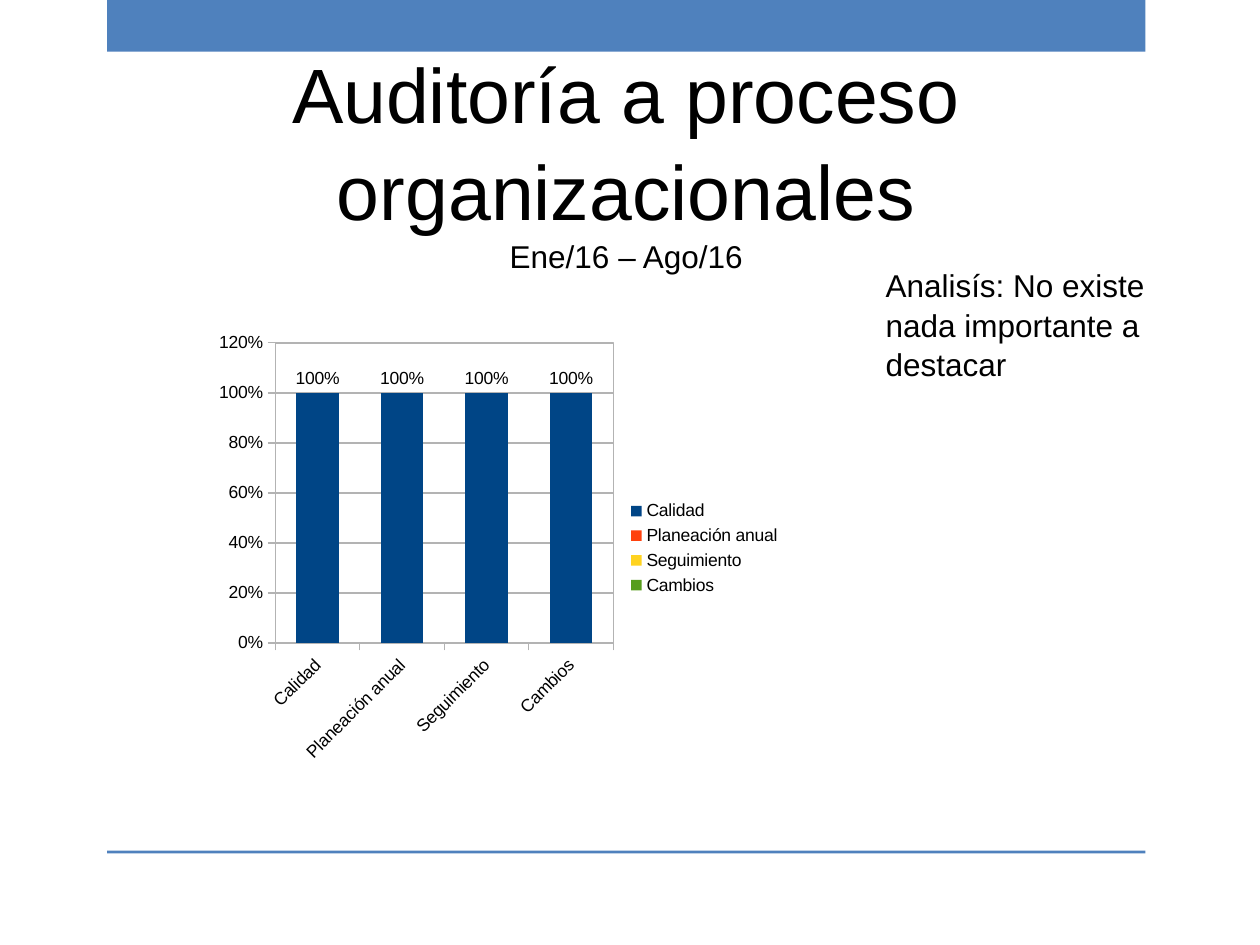
import pptx
import pptx.chart.data
import pptx.dml.color
import pptx.enum.chart
import pptx.enum.shapes
import pptx.enum.text
import pptx.oxml
import pptx.oxml.ns
import pptx.util

BLUE = pptx.dml.color.RGBColor(0x4F, 0x81, 0xBD)
BAR_BLUE = pptx.dml.color.RGBColor(0x00, 0x45, 0x86)
GRAY = pptx.dml.color.RGBColor(0xB3, 0xB3, 0xB3)
BLACK = pptx.dml.color.RGBColor(0, 0, 0)
WHITE = pptx.dml.color.RGBColor(255, 255, 255)


class AuditSlide:
    """Draws the audit slide; positions are shares of the slide's size."""

    font_name = "Arial"
    line_spacing = 1.05

    def __init__(self, presentation):
        self.width = presentation.slide_width
        self.height = presentation.slide_height
        self.slide = presentation.slides.add_slide(presentation.slide_layouts[6])

    def place(self, left, top, width, height):
        return (round(left * self.width), round(top * self.height),
                round(width * self.width), round(height * self.height))

    def band(self, *share):
        shape = self.slide.shapes.add_shape(
            pptx.enum.shapes.MSO_SHAPE.RECTANGLE, *self.place(*share))
        shape.shadow.inherit = False
        shape.fill.solid()
        shape.fill.fore_color.rgb = BLUE
        shape.line.fill.background()

    def text(self, share, lines, sizes, align, anchor, insets):
        text_frame = self.slide.shapes.add_textbox(*self.place(*share)).text_frame
        text_frame.word_wrap = True
        text_frame.vertical_anchor = anchor
        text_frame.margin_left = text_frame.margin_right = pptx.util.Inches(insets[0])
        text_frame.margin_top = text_frame.margin_bottom = pptx.util.Inches(insets[1])
        text_frame.text = "\n".join(lines)
        for paragraph, size in zip(text_frame.paragraphs, sizes):
            paragraph.alignment = align
            paragraph.line_spacing = self.line_spacing
            self.style_font(paragraph.runs[0].font, size)

    def style_font(self, font, size):
        font.name = self.font_name
        font.size = pptx.util.Pt(size)
        font.color.rgb = BLACK

    def style_line(self, line):
        line.color.rgb = GRAY
        line.width = pptx.util.Pt(0.75)

    def column_chart(self, share, categories, values, plot_share):
        data = pptx.chart.data.CategoryChartData(number_format="0%")
        data.categories = categories
        data.add_series("", values)
        chart = self.slide.shapes.add_chart(
            pptx.enum.chart.XL_CHART_TYPE.COLUMN_CLUSTERED,
            *self.place(*share), data).chart
        self.style_font(chart.font, 10)
        chart.has_title = False
        chart.has_legend = True
        chart.legend.position = pptx.enum.chart.XL_LEGEND_POSITION.RIGHT
        chart.legend.include_in_layout = False
        self.style_columns(chart.plots[0])
        self.style_axes(chart)
        self.style_plot_area(chart, plot_share)

    def style_columns(self, plot):
        plot.gap_width = 100
        plot.vary_by_categories = True
        series = plot.series[0]
        series.format.fill.solid()
        series.format.fill.fore_color.rgb = BAR_BLUE
        labels = series.data_labels
        labels.show_value = True
        labels.position = pptx.enum.chart.XL_LABEL_POSITION.OUTSIDE_END
        labels.number_format = "0%"
        labels.number_format_is_linked = False
        self.style_font(labels.font, 10)

    def style_axes(self, chart):
        for axis in (chart.category_axis, chart.value_axis):
            axis.major_tick_mark = pptx.enum.chart.XL_TICK_MARK.OUTSIDE
            axis.minor_tick_mark = pptx.enum.chart.XL_TICK_MARK.NONE
            self.style_line(axis.format.line)
            self.style_font(axis.tick_labels.font, 10)
        body = chart.category_axis._element.find(
            "./" + pptx.oxml.ns.qn("c:txPr") + "/" + pptx.oxml.ns.qn("a:bodyPr"))
        body.set("rot", "-2700000")
        value_axis = chart.value_axis
        value_axis.minimum_scale = 0
        value_axis.maximum_scale = 1.2
        value_axis.major_unit = 0.2
        value_axis.tick_labels.number_format = "0%"
        value_axis.tick_labels.number_format_is_linked = False
        self.style_line(value_axis.major_gridlines.format.line)

    def style_plot_area(self, chart, plot_share):
        plot_area = chart._chartSpace.chart.plotArea
        for layout in plot_area.findall(pptx.oxml.ns.qn("c:layout")):
            plot_area.remove(layout)
        sizes = "".join(f'<c:{name} val="{value}"/>'
                        for name, value in zip("xywh", plot_share))
        plot_area.insert(0, pptx.oxml.parse_xml(
            f'<c:layout {pptx.oxml.ns.nsdecls("c")}><c:manualLayout>'
            '<c:layoutTarget val="inner"/><c:xMode val="edge"/><c:yMode val="edge"/>'
            f'{sizes}</c:manualLayout></c:layout>'))
        plot_area.append(pptx.oxml.parse_xml(
            f'<c:spPr {pptx.oxml.ns.nsdecls("c", "a")}>'
            f'<a:solidFill><a:srgbClr val="{WHITE}"/></a:solidFill>'
            f'<a:ln w="9525"><a:solidFill><a:srgbClr val="{GRAY}"/></a:solidFill></a:ln>'
            '</c:spPr>'))


def main():
    presentation = pptx.Presentation()
    presentation.slide_width = pptx.util.Inches(10)
    presentation.slide_height = pptx.util.Inches(7.5)
    audit = AuditSlide(presentation)
    align = pptx.enum.text.PP_ALIGN
    anchor = pptx.enum.text.MSO_ANCHOR

    audit.band(0.085, 0, 0.824, 0.0547)
    audit.band(0.085, 0.9, 0.824, 0.003)
    audit.text((0.047, 0.076, 0.9, 0.183),
               ["Auditoría a proceso organizacionales", "Ene/16 – Ago/16"],
               [44, 18], align.CENTER, anchor.MIDDLE, (0, 0))
    audit.text((0.693, 0.273, 0.267, 0.124),
               ["Analisís: No existe nada importante a destacar"],
               [18], align.LEFT, anchor.TOP, (0.1, 0.05))
    audit.column_chart((0.165, 0.344, 0.465, 0.472),
                       ["Calidad", "Planeación anual", "Seguimiento", "Cambios"],
                       [1, 1, 1, 1], (0.115, 0.04, 0.577, 0.673))
    presentation.save("out.pptx")


if __name__ == "__main__":
    main()
